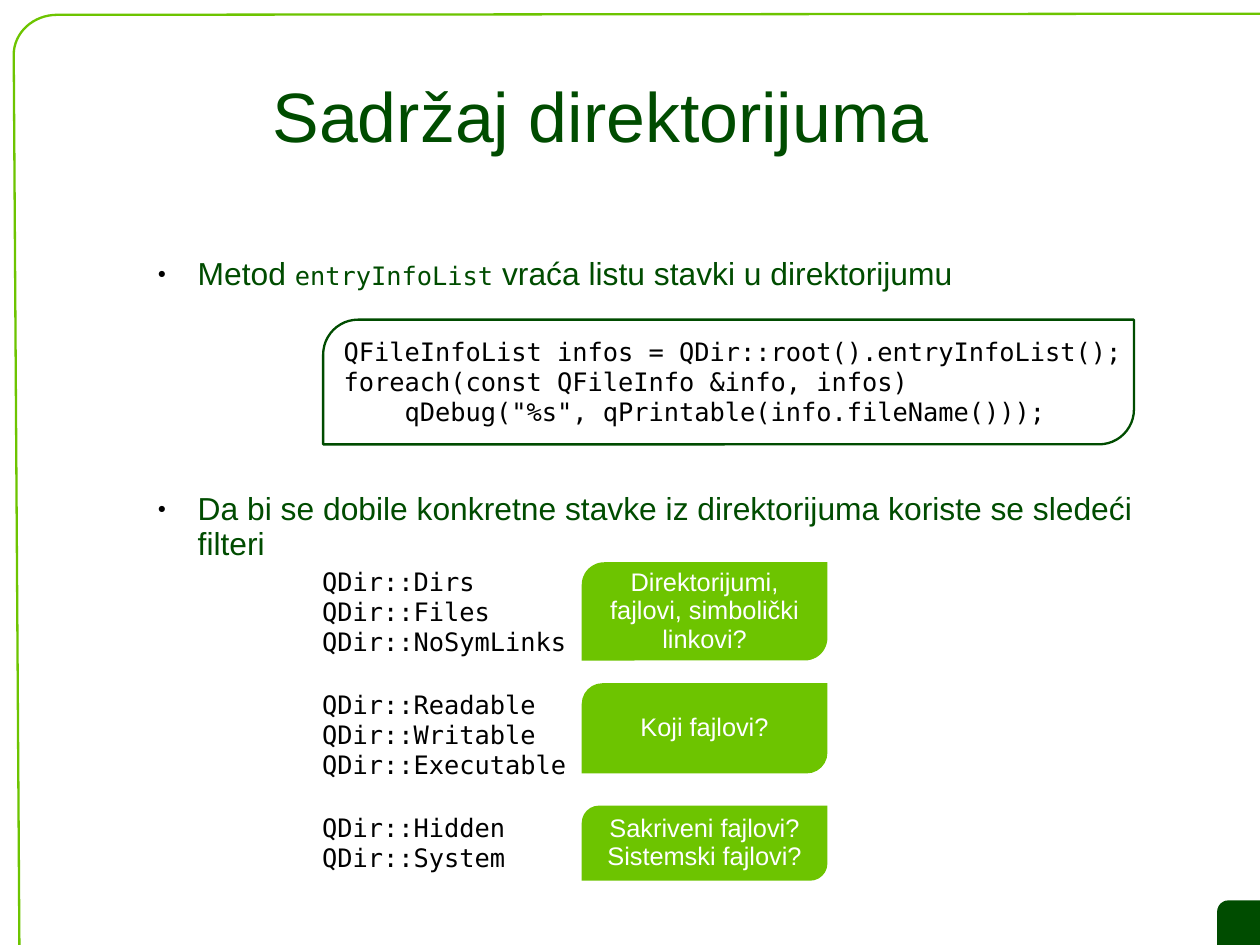
from collections import namedtuple
from math import cos, pi, sin

from lxml import etree
from pptx import Presentation
from pptx.dml.color import RGBColor
from pptx.enum.shapes import MSO_SHAPE
from pptx.enum.text import MSO_ANCHOR, MSO_AUTO_SIZE, PP_ALIGN
from pptx.oxml.ns import qn
from pptx.util import Cm, Inches, Pt

LEAF = MSO_SHAPE.ROUND_2_DIAG_RECTANGLE
MIDDLE, TOP = MSO_ANCHOR.MIDDLE, MSO_ANCHOR.TOP
LEFT, CENTER = PP_ALIGN.LEFT, PP_ALIGN.CENTER
NO_FIT = MSO_AUTO_SIZE.NONE

DARK_GREEN = RGBColor(0x00, 0x4C, 0x00)
LIGHT_GREEN = RGBColor(0x6D, 0xC4, 0x00)
BLACK = RGBColor(0, 0, 0)
WHITE = RGBColor(255, 255, 255)
SANS, MONO = "Arial", "DejaVu Sans Mono"

# The slide is a grid of 100 columns by 100 rows.
SLIDE_W, SLIDE_H = Cm(28), Cm(21)
COL, ROW = SLIDE_W / 100, SLIDE_H / 100
Box = namedtuple("Box", "left top width height")

TITLE_BOX = Box(15.2, 4, 65, 16.7)
BODY_BOX = Box(11.43, 27, 83.6, 61.5)
CODE_BOX = Box(25.65, 33.83, 64.35, 13.2)
FILTER_BOX = Box(24.67, 59.5, 41, 33.7)
BADGE_BOX = Box(96.6, 95.28, 4.08, 5.2)
LABEL_COLS = 19.5

TITLE = "Sadržaj direktorijuma"
BULLETS = [
    [("Metod ", SANS, 20), ("entryInfoList", MONO, 16),
     (" vraća listu stavki u direktorijumu", SANS, 20)],
    [("Da bi se dobile konkretne stavke iz direktorijuma koriste se sledeći filteri",
      SANS, 20)],
]
CODE = [
    "QFileInfoList infos = QDir::root().entryInfoList();",
    "foreach(const QFileInfo &info, infos)",
    '    qDebug("%s", qPrintable(info.fileName()));',
]
# Filters, question lines, label's first row in the region, label's rows
FILTER_GROUPS = [
    (["QDir::Dirs", "QDir::Files", "QDir::NoSymLinks"],
     ["Direktorijumi, fajlovi, simbolički linkovi?"], 0, 10.4),
    (["QDir::Readable", "QDir::Writable", "QDir::Executable"],
     ["Koji fajlovi?"], 12.8, 9.55),
    (["QDir::Hidden", "QDir::System"],
     ["Sakriveni fajlovi?", "Sistemski fajlovi?"], 25.75, 7.95),
]


def emu(box):
    return [round(length * unit) for length, unit in zip(box, (COL, ROW, COL, ROW))]


def set_font(run, name, size, color):
    run.font.name, run.font.size = name, Pt(size)
    run.font.color.rgb = color


def set_frame(frame, anchor, left=0.1, top=0.05, right=0.1, bottom=0.05):
    frame.word_wrap = True
    frame.auto_size = NO_FIT
    frame.vertical_anchor = anchor
    frame.margin_left, frame.margin_top = Inches(left), Inches(top)
    frame.margin_right, frame.margin_bottom = Inches(right), Inches(bottom)


def write_lines(frame, lines, font, color, align, spacing):
    frame.text = "\n".join(lines)
    for paragraph in frame.paragraphs:
        paragraph.alignment = align
        paragraph.line_spacing = spacing
        for run in paragraph.runs:
            set_font(run, font, 16, color)


def add_leaf(slide, box, fill=None, line=None, rounding=0.23):
    """Add a box rounded at its top left and bottom right corners."""
    leaf = slide.shapes.add_shape(LEAF, *emu(box))
    leaf.shadow.inherit = False
    leaf.adjustments[0] = rounding
    if fill is None:
        leaf.fill.background()
    else:
        leaf.fill.solid()
        leaf.fill.fore_color.rgb = fill
    if line is None:
        leaf.line.fill.background()
    else:
        leaf.line.color.rgb = line
        leaf.line.width = Pt(1.45)
    return leaf


def add_page_frame(slide):
    """Draw the green line along the left and top edges, with a round corner."""
    center_x, center_y, radius_x, radius_y = 4.54, 5.8, 3.45, 4.23
    angles = [pi / 2 * step / 16 for step in range(17)]
    corner = [(center_x - radius_x * cos(a), center_y - radius_y * sin(a))
              for a in angles]
    points = [(x * COL, y * ROW) for x, y in corner + [(100, 1.45)]]
    builder = slide.shapes.build_freeform(round(1.54 * COL), SLIDE_H)
    builder.add_line_segments(points, close=False)
    edge = builder.convert_to_shape()
    edge.shadow.inherit = False
    edge.fill.background()
    edge.line.color.rgb = LIGHT_GREEN
    edge.line.width = Pt(1.45)


def place(placeholder, box):
    (placeholder.left, placeholder.top,
     placeholder.width, placeholder.height) = emu(box)


def fill_title(title, box):
    place(title, box)
    frame = title.text_frame
    set_frame(frame, MIDDLE, 0, 0.04, 0, 0)
    frame.text = TITLE
    heading = frame.paragraphs[0]
    heading.alignment = CENTER
    heading.line_spacing = 0.93
    set_font(heading.runs[0], SANS, 44, DARK_GREEN)


def add_bullet(paragraph):
    properties = paragraph._p.get_or_add_pPr()
    properties.set("marL", str(Inches(0.47)))
    properties.set("indent", str(Inches(-0.35)))
    color = etree.SubElement(properties, qn("a:buClr"))
    etree.SubElement(color, qn("a:srgbClr"), val=str(BLACK))
    etree.SubElement(properties, qn("a:buSzPct"), val="45000")
    etree.SubElement(properties, qn("a:buChar"), char="●")


def fill_body(body, box):
    place(body, box)
    frame = body.text_frame
    set_frame(frame, TOP, 0, 0.02, 0, 0)
    for index, pieces in enumerate(BULLETS):
        item = frame.add_paragraph() if index else frame.paragraphs[0]
        add_bullet(item)
        item.line_spacing = 0.93
        item.space_before = Pt(125.5 if index else 0)
        item.space_after = Pt(0)
        for text, font, size in pieces:
            run = item.add_run()
            run.text = text
            set_font(run, font, size, DARK_GREEN)


def add_code(slide, box):
    frame = add_leaf(slide, box, line=DARK_GREEN, rounding=0.28).text_frame
    set_frame(frame, MIDDLE, left=0.09, top=0.06, right=0)
    write_lines(frame, CODE, MONO, BLACK, LEFT, 0.98)


def add_filters(slide, box):
    """List the filters on the left and the question each group answers beside it."""
    list_box = box._replace(width=box.width * 0.65)
    filter_list = slide.shapes.add_textbox(*emu(list_box)).text_frame
    set_frame(filter_list, TOP)
    names = [name for group in FILTER_GROUPS for name in group[0]]
    write_lines(filter_list, names, MONO, BLACK, LEFT, 0.98)
    group_starts = [group[0][0] for group in FILTER_GROUPS[1:]]
    for paragraph in filter_list.paragraphs:
        if paragraph.text in group_starts:
            paragraph.space_before = Pt(21)

    label_left = box.left + box.width - LABEL_COLS
    for _, question, first_row, rows in FILTER_GROUPS:
        label_box = Box(label_left, box.top + first_row, LABEL_COLS, rows)
        label = add_leaf(slide, label_box, fill=LIGHT_GREEN).text_frame
        set_frame(label, MIDDLE, top=0.02, bottom=0.02)
        write_lines(label, question, SANS, WHITE, CENTER, 0.93)


def main():
    deck = Presentation()
    deck.slide_width, deck.slide_height = SLIDE_W, SLIDE_H
    slide = deck.slides.add_slide(deck.slide_layouts[1])
    add_page_frame(slide)
    add_leaf(slide, BADGE_BOX, fill=DARK_GREEN)
    fill_title(slide.shapes.title, TITLE_BOX)
    fill_body(slide.placeholders[1], BODY_BOX)
    add_code(slide, CODE_BOX)
    add_filters(slide, FILTER_BOX)
    deck.save("out.pptx")


if __name__ == "__main__":
    main()
